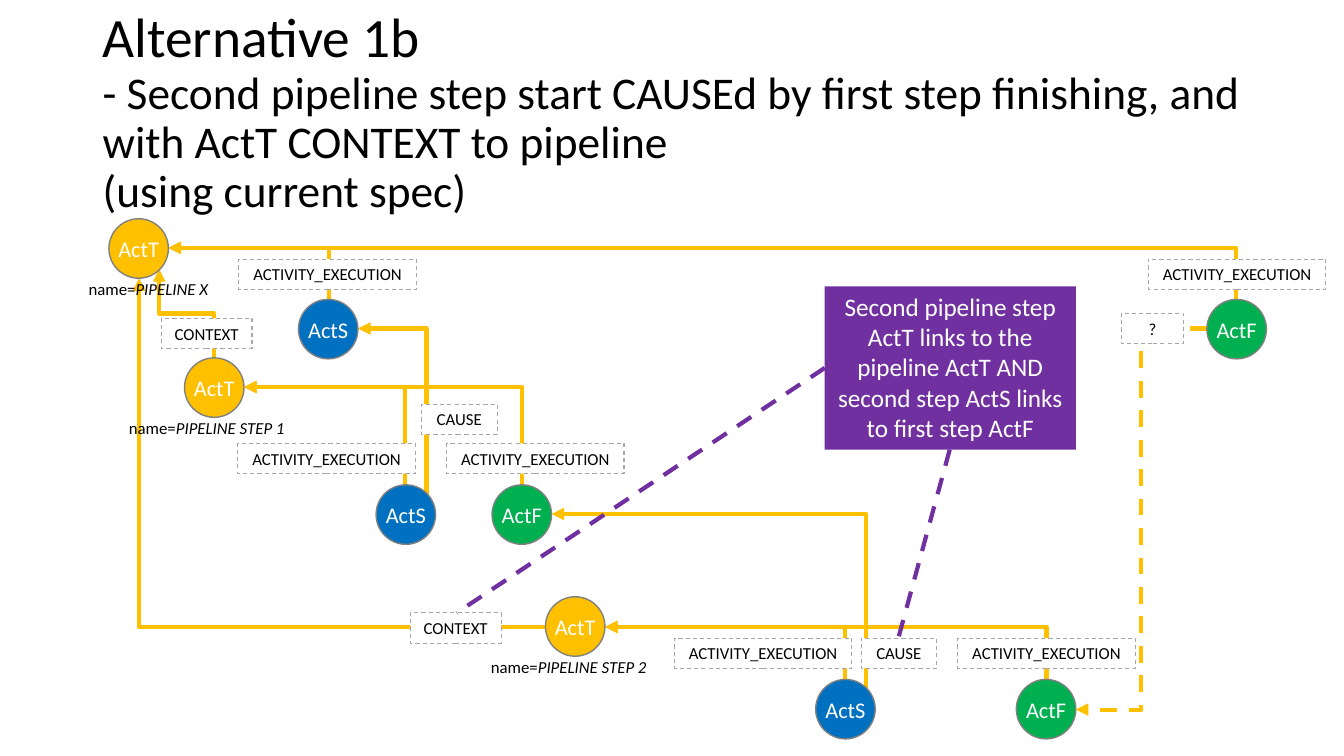
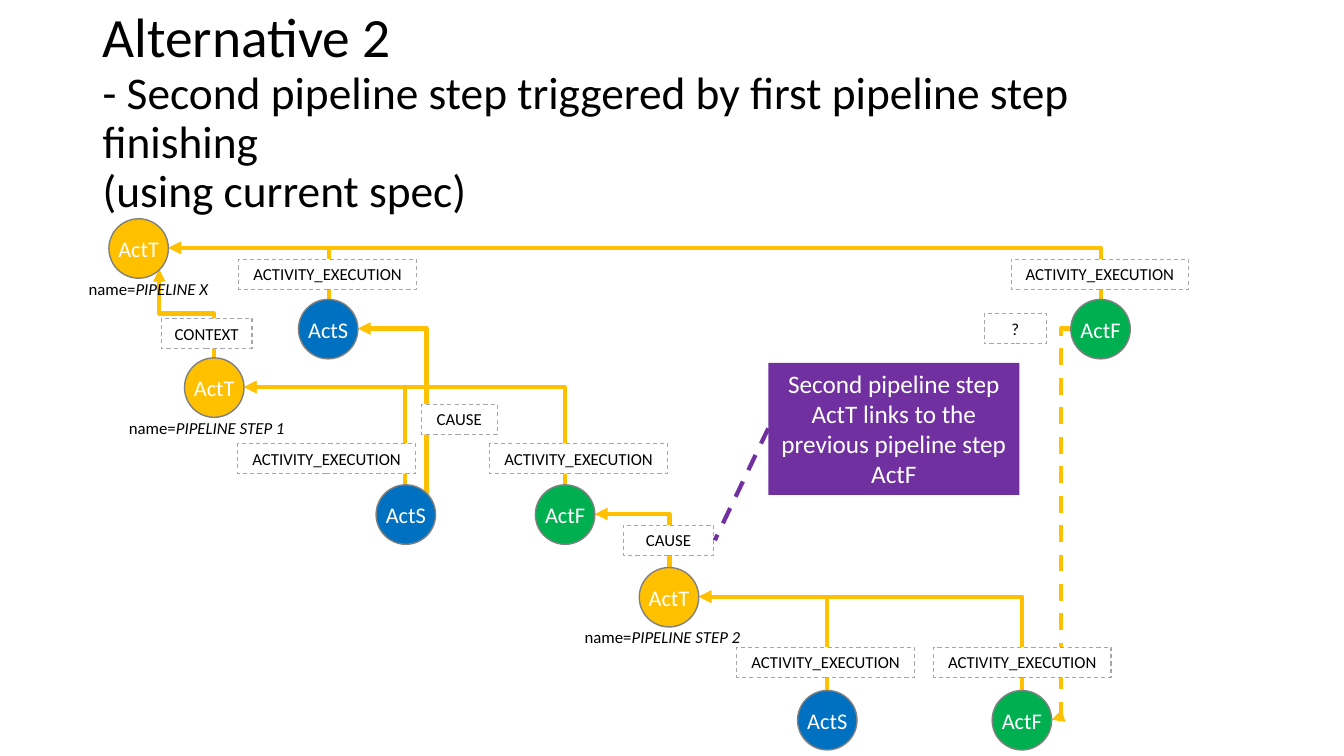
from dataclasses import dataclass, field

import lxml.etree
import pptx
import pptx.dml.color
import pptx.enum.dml
import pptx.enum.shapes
import pptx.enum.text
import pptx.oxml.ns
import pptx.util

PX = 9144  # EMU per px, 100 px to the inch
WIDE, HIGH = 1333, 750
NODE = 59
COLORS = {
    "ActT": "FFC000", "ActS": "0070C0", "ActF": "00B050", "link": "FFC000",
    "note": "7030A0", "rim": "808080", "edge": "A6A6A6",
    "white": "FFFFFF", "black": "000000",
}
FONT = "Calibri"
FORMS = pptx.enum.shapes.MSO_SHAPE
JOINS = pptx.enum.shapes.MSO_CONNECTOR
ALIGN = pptx.enum.text.PP_ALIGN
ANCHOR = pptx.enum.text.MSO_ANCHOR
FIT = pptx.enum.text.MSO_AUTO_SIZE
DASH = pptx.enum.dml.MSO_LINE.DASH
qn = pptx.oxml.ns.qn

NODE_TEXT = {"margin_left": 0, "margin_right": 0, "margin_top": 0,
             "margin_bottom": 0, "vertical_anchor": ANCHOR.MIDDLE, "word_wrap": True}
BOX_TEXT = {"vertical_anchor": ANCHOR.TOP, "word_wrap": True,
            "auto_size": FIT.SHAPE_TO_FIT_TEXT}
NAME_TEXT = BOX_TEXT | {"word_wrap": False}
TITLE_TEXT = {"vertical_anchor": ANCHOR.MIDDLE, "word_wrap": True}

# Points on a node, as shares of its size
SIDES = {"top": (0.5, 0), "right": (1, 0.5), "left": (0, 0.5),
         "bottom": (0.5, 1), "ne": (0.85, 0.15), "se": (0.85, 0.85)}
TAGS = {"ACTIVITY_EXECUTION": 176, "CONTEXT": 90, "CAUSE": 75, "?": 62}


@dataclass(frozen=True)
class Node:
    kind: str
    x: int
    y: int


@dataclass(frozen=True)
class Route:
    """How a link leaves one node, bends, and meets another."""
    start: str
    end: str
    form: str
    turn: int = 0
    flip: str = ""
    dash: bool = False


@dataclass(frozen=True)
class Tag:
    text: str
    x: int
    y: int
    wide: int = 0


@dataclass(frozen=True)
class Name:
    text: str
    x: int
    y: int
    wide: int = 177


@dataclass(frozen=True)
class Note:
    text: str
    x: int
    y: int
    high: int
    lines: list[tuple[int, int, int, int]]


@dataclass(frozen=True)
class Plan:
    title: str
    lead: list[str]
    note: Note
    nodes: dict[str, Node] = field(default_factory=dict)
    links: list[tuple[str, str, str]] = field(default_factory=list)
    tags: list[Tag] = field(default_factory=list)
    names: list[Name] = field(default_factory=list)


ROUTES = {
    "part": Route("top", "right", "bentConnector2", 270, "flipV"),
    "cause": Route("ne", "right", "bentConnector2", 270, "flipV"),
    "step": Route("top", "se", "bentConnector3", 270, "flipV"),
    "side": Route("left", "bottom", "bentConnector2", 180),
    "open": Route("left", "right", "bentConnector3", 0, "flipH", True),
}

# What both alternatives have: the pipeline and its first step
BASE = Plan("", [], Note("", 0, 0, 0, []), {
    "pipe": Node("ActT", 108, 217), "start": Node("ActS", 296, 297),
    "one": Node("ActT", 183, 355), "start1": Node("ActS", 373, 481),
}, [
    ("end", "pipe", "part"), ("start", "pipe", "part"),
    ("end1", "one", "part"), ("start1", "one", "part"),
    ("one", "pipe", "step"), ("start1", "start", "cause"),
    ("end2", "two", "part"), ("start2", "two", "part"), ("end", "end2", "open"),
], [
    Tag("ACTIVITY_EXECUTION", 237, 257), Tag("ACTIVITY_EXECUTION", 236, 440),
    Tag("CONTEXT", 160, 316), Tag("CAUSE", 418, 401),
], [
    Name("PIPELINE X", 78, 272, 140), Name("PIPELINE STEP 1", 118, 410),
])

PLANS = [
    Plan("Alternative 1b", [
        "- Second pipeline step start CAUSEd by first step finishing, "
        "and with ActT CONTEXT to pipeline",
        "(using current spec)",
    ], Note(
        "Second pipeline step ActT links to the pipeline ActT AND "
        "second step ActS links to first step ActF", 818, 284, 162,
        [(818, 365, 453, 608), (942, 446, 891, 633)],
    ), {
        "end": Node("ActF", 1197, 297), "end1": Node("ActF", 488, 481),
        "two": Node("ActT", 541, 592), "start2": Node("ActS", 809, 674),
        "end2": Node("ActF", 1008, 674),
    }, [("start2", "end1", "cause"), ("two", "pipe", "side")], [
        Tag("ACTIVITY_EXECUTION", 1139, 257), Tag("ACTIVITY_EXECUTION", 443, 440),
        Tag("ACTIVITY_EXECUTION", 669, 633), Tag("ACTIVITY_EXECUTION", 950, 633),
        Tag("?", 1112, 311), Tag("CONTEXT", 407, 608), Tag("CAUSE", 854, 633),
    ], [Name("PIPELINE STEP 2", 477, 647)]),
    Plan("Alternative 2", [
        "- Second pipeline step triggered by first pipeline step",
        "finishing", "(using current spec)",
    ], Note(
        "Second pipeline step ActT links to the previous pipeline step ActF",
        762, 360, 131, [(762, 425, 709, 536)],
    ), {
        "end": Node("ActF", 1062, 297), "end1": Node("ActF", 531, 481),
        "two": Node("ActT", 634, 563), "start2": Node("ActS", 791, 685),
        "end2": Node("ActF", 984, 685),
    }, [("two", "end1", "part")], [
        Tag("ACTIVITY_EXECUTION", 1003, 257), Tag("ACTIVITY_EXECUTION", 486, 440),
        Tag("ACTIVITY_EXECUTION", 731, 642), Tag("ACTIVITY_EXECUTION", 926, 642),
        Tag("?", 976, 311), Tag("CAUSE", 618, 521, 90),
    ], [Name("PIPELINE STEP 2", 570, 617)]),
]


def emu(*sizes: float) -> list[int]:
    return [round(size * PX) for size in sizes]


def tint(key: str) -> pptx.dml.color.RGBColor:
    return pptx.dml.color.RGBColor.from_string(COLORS[key])


def apply(item, form: dict) -> None:
    for key, value in form.items():
        setattr(item, key, value)


def write(para, text: str, size: float, color: str = "black", **form) -> None:
    run = para.add_run()
    run.text = text
    apply(run.font, {"name": FONT, "size": pptx.util.Pt(size)} | form)
    run.font.color.rgb = tint(color)


def stroke(line, color: str, width: float, dash: bool = False) -> None:
    line.color.rgb = tint(color)
    line.width = pptx.util.Pt(width)
    if dash:
        line.dash_style = DASH


def block(slide, form, spot: tuple, fill: str, text: str, size: int,
          color: str, frame: dict):
    """Add a filled shape with centred text and no outline."""
    shape = slide.shapes.add_shape(form, *emu(*spot))
    shape.shadow.inherit = False
    shape.fill.solid()
    shape.fill.fore_color.rgb = tint(fill)
    shape.line.fill.background()
    apply(shape.text_frame, frame)
    para = shape.text_frame.paragraphs[0]
    para.alignment = ALIGN.CENTER
    write(para, text, size, color)
    return shape


def wire(slide, form, ends: tuple, color: str, dash: bool):
    """Add a connector without a shadow."""
    line = slide.shapes.add_connector(form, *emu(*ends))
    stroke(line.line, color, 3, dash)
    lxml.etree.SubElement(line.element.spPr, qn("a:effectLst"))
    return line


def point(node: Node, side: str) -> tuple[int, int]:
    across, down = SIDES[side]
    return round(node.x + across * NODE), round(node.y + down * NODE)


def link(slide, first: Node, last: Node, route: Route) -> None:
    x1, y1 = point(first, route.start)
    x2, y2 = point(last, route.end)
    line = wire(slide, JOINS.ELBOW, (x1, y1, x2, y2), "link", route.dash)
    wide, high = abs(x2 - x1), abs(y2 - y1)
    if route.turn == 270:
        wide, high = high, wide
    spot = emu((x1 + x2 - wide) / 2, (y1 + y2 - high) / 2, wide, high)
    apply(line, dict(zip(("left", "top", "width", "height"), spot)))
    props = line.element.spPr
    frame = props.find(qn("a:xfrm"))
    for key in ("flipH", "flipV"):
        frame.attrib.pop(key, None)
    if route.flip:
        frame.set(route.flip, "1")
    frame.set("rot", str(route.turn * 60000))
    props.find(qn("a:prstGeom")).set("prst", route.form)
    lxml.etree.SubElement(props.find(qn("a:ln")), qn("a:tailEnd"), type="triangle")


def head(slide, plan: Plan) -> None:
    box = slide.shapes.add_textbox(*emu(92, 2, 1150, 221))
    apply(box.text_frame, TITLE_TEXT)
    para = box.text_frame.paragraphs[0]
    para.line_spacing = 0.9
    write(para, plan.title, 39.6)
    for text in plan.lead:
        para.add_line_break()
        write(para, text, 32.4)


def label(slide, name: Name) -> None:
    box = slide.shapes.add_textbox(*emu(name.x, name.y, name.wide, 30))
    apply(box.text_frame, NAME_TEXT)
    para = box.text_frame.paragraphs[0]
    write(para, "name=", 12)
    write(para, name.text, 12, italic=True)


def draw(slide, plan: Plan) -> None:
    head(slide, plan)
    nodes = BASE.nodes | plan.nodes
    for first, last, route in BASE.links + plan.links:
        link(slide, nodes[first], nodes[last], ROUTES[route])
    for node in nodes.values():
        disc = block(slide, FORMS.FLOWCHART_CONNECTOR, (node.x, node.y, NODE, NODE),
                     node.kind, node.kind, 16, "white", NODE_TEXT)
        stroke(disc.line, "rim", 1)
    for tag in BASE.tags + plan.tags:
        spot = (tag.x, tag.y, tag.wide or TAGS[tag.text], 30)
        box = block(slide, FORMS.RECTANGLE, spot, "white", tag.text, 12,
                    "black", BOX_TEXT)
        stroke(box.line, "edge", 0.75, True)
    for name in BASE.names + plan.names:
        label(slide, name)
    note = plan.note
    block(slide, FORMS.RECTANGLE, (note.x, note.y, 249, note.high), "note",
          note.text, 18, "white", BOX_TEXT)
    for ends in note.lines:
        wire(slide, JOINS.STRAIGHT, ends, "note", True)


def main() -> None:
    deck = pptx.Presentation()
    deck.slide_width, deck.slide_height = emu(WIDE, HIGH)
    for plan in PLANS:
        draw(deck.slides.add_slide(deck.slide_layouts[6]), plan)
    deck.save("out.pptx")


if __name__ == "__main__":
    main()
